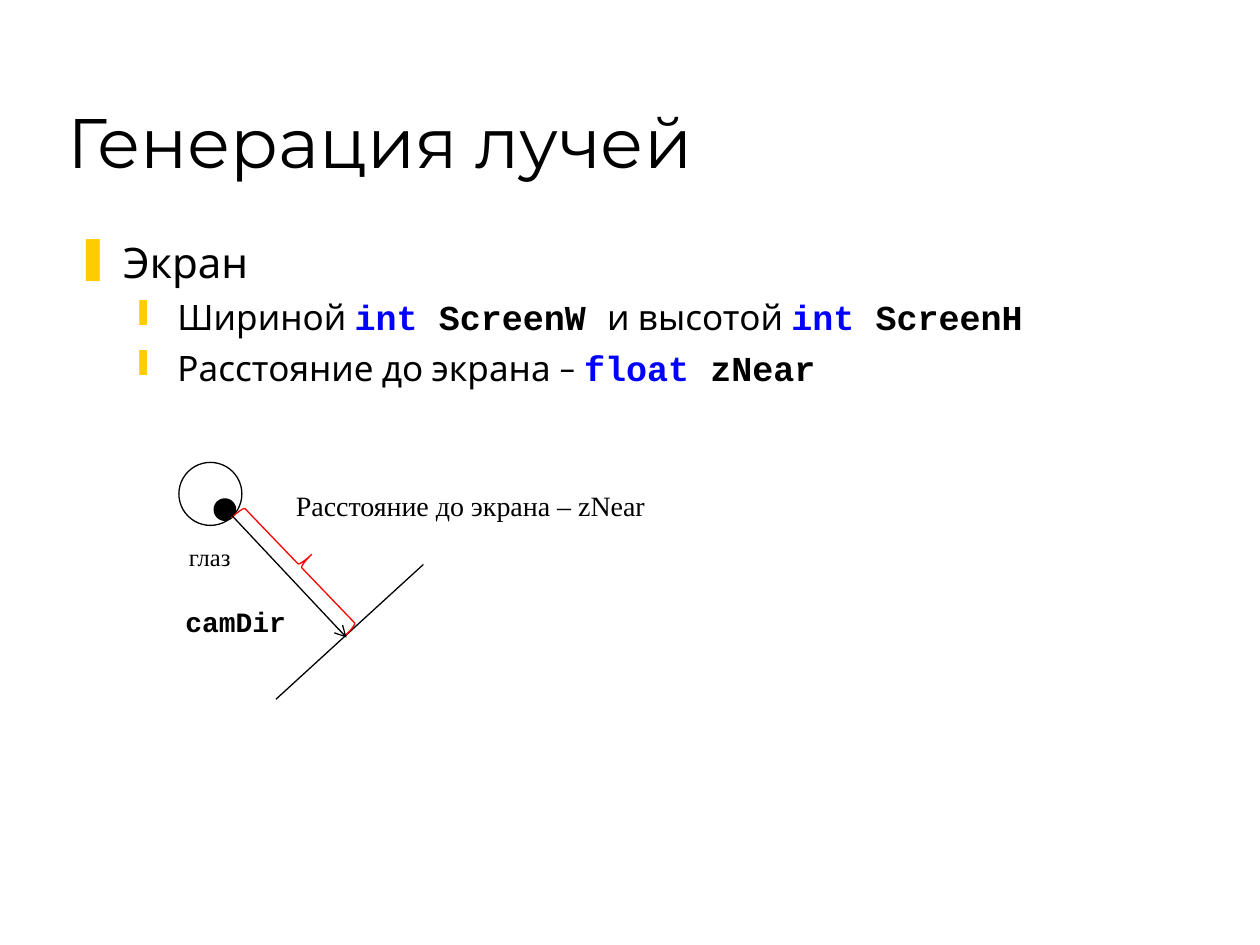
import pptx
import pptx.dml.color
import pptx.enum.shapes
import pptx.enum.text
import pptx.oxml.ns
import pptx.util
from lxml import etree
from pptx.util import Inches

BLACK, BLUE, RED, GOLD = "000000", "0000FF", "FF0000", "FFCC00"
BODY_FONT, CODE_FONT, LABEL_FONT = "Karla", "Courier New", "Times New Roman"
SHAPE = pptx.enum.shapes.MSO_SHAPE
ANCHOR = pptx.enum.text.MSO_ANCHOR
ALIGN = pptx.enum.text.PP_ALIGN


def rgb(value):
    return pptx.dml.color.RGBColor.from_string(value)


def add_xml(parent, tag, **attributes):
    return etree.SubElement(parent, pptx.oxml.ns.qn(tag), **attributes)


def write(paragraph, text, size, font=BODY_FONT, color=BLACK, bold=False):
    run = paragraph.add_run()
    run.text = text
    run.font.size = pptx.util.Pt(size)
    run.font.name = font
    run.font.color.rgb = rgb(color)
    run.font.bold = bold


def add_frame(shapes, left, top, width, height, anchor=ANCHOR.TOP):
    box = shapes.add_textbox(Inches(left), Inches(top), Inches(width), Inches(height))
    box.text_frame.word_wrap = True
    box.text_frame.vertical_anchor = anchor
    return box.text_frame


def add_label(shapes, text, place, align=ALIGN.CENTER, **style):
    frame = add_frame(shapes, *place)
    frame.auto_size = pptx.enum.text.MSO_AUTO_SIZE.SHAPE_TO_FIT_TEXT
    frame.paragraphs[0].alignment = align
    write(frame.paragraphs[0], text, **style)


def set_bullet(paragraph, char, level, margin, indent, space):
    paragraph.level = level
    paragraph.space_before = pptx.util.Pt(space)
    properties = paragraph._p.get_or_add_pPr()
    properties.set("marL", str(Inches(margin)))
    properties.set("indent", str(-Inches(indent)))
    add_xml(add_xml(properties, "a:buClr"), "a:srgbClr", val=GOLD)
    add_xml(properties, "a:buChar", char=char)


def add_outline(shapes, kind, left, top, width, height, color=BLACK, fill=None):
    shape = shapes.add_shape(kind, Inches(left), Inches(top), Inches(width), Inches(height))
    shape.shadow.inherit = False
    if fill:
        shape.fill.solid()
        shape.fill.fore_color.rgb = rgb(fill)
    else:
        shape.fill.background()
    shape.line.color.rgb = rgb(color)
    shape.line.width = pptx.util.Pt(0.75)
    return shape


def add_line(shapes, start, end, arrow=False):
    line = shapes.add_connector(pptx.enum.shapes.MSO_CONNECTOR.STRAIGHT,
                                *map(Inches, start + end))
    line.line.color.rgb = rgb(BLACK)
    line.line.width = pptx.util.Pt(0.75)
    if arrow:
        add_xml(line.line._get_or_add_ln(), "a:tailEnd", type="arrow")
    add_xml(line._element.spPr, "a:effectLst")


def add_screen_list(shapes):
    frame = add_frame(shapes, 0.5, 1.83, 8.94, 2.94)
    heading = frame.paragraphs[0]
    set_bullet(heading, "❚", 0, margin=0.38, indent=0.38, space=6)
    write(heading, "Экран", 24)

    keyword = {"font": CODE_FONT, "color": BLUE, "bold": True}
    code = {"font": CODE_FONT, "bold": True}
    items = [
        [("Шириной ", {}), ("int ", keyword), ("ScreenW ", code),
         ("и высотой ", {}), ("int ", keyword), ("ScreenH", code)],
        [("Расстояние до экрана – ", {}), ("float", keyword), (" zNear", code)],
    ]
    for item in items:
        paragraph = frame.add_paragraph()
        set_bullet(paragraph, "❙", 1, margin=0.81, indent=0.31, space=5)
        for text, style in item:
            write(paragraph, text, 20, **style)


def add_camera_diagram(shapes):
    # Eye with its pupil and caption
    eye = shapes.add_group_shape().shapes
    add_outline(eye, SHAPE.OVAL, 1.42, 3.67, 0.5, 0.5)
    add_outline(eye, SHAPE.OVAL, 1.7, 3.96, 0.17, 0.17, fill=BLACK)
    add_label(eye, "глаз", (1.33, 4.25, 0.67, 0.34), size=14, font=LABEL_FONT)

    # Screen and the distance to it
    add_line(shapes, (2.19, 5.55), (3.36, 4.48))
    distance = add_outline(shapes, SHAPE.RIGHT_BRACE, 2.25, 3.84, 0.26, 1.3, color=RED)
    distance.rotation = 316.2
    add_label(shapes, "Расстояние до экрана – zNear", (2.25, 3.83, 3.17, 0.37),
              align=ALIGN.LEFT, size=16, font=LABEL_FONT)

    # Camera direction
    direction = shapes.add_group_shape().shapes
    add_line(direction, (1.83, 4.08), (2.75, 5.06), arrow=True)
    add_label(direction, "camDir", (1.33, 4.75, 1.08, 0.37),
              size=16, font=CODE_FONT, bold=True)


def main():
    deck = pptx.Presentation()
    deck.slide_width, deck.slide_height = Inches(10), Inches(7.5)
    shapes = deck.slides.add_slide(deck.slide_layouts[6]).shapes

    add_screen_list(shapes)
    title = add_frame(shapes, 0.44, 0.25, 8.5, 1.25, anchor=ANCHOR.BOTTOM)
    write(title.paragraphs[0], "Генерация лучей", 40, font="Montserrat")
    add_camera_diagram(shapes)

    deck.save("out.pptx")


if __name__ == "__main__":
    main()
